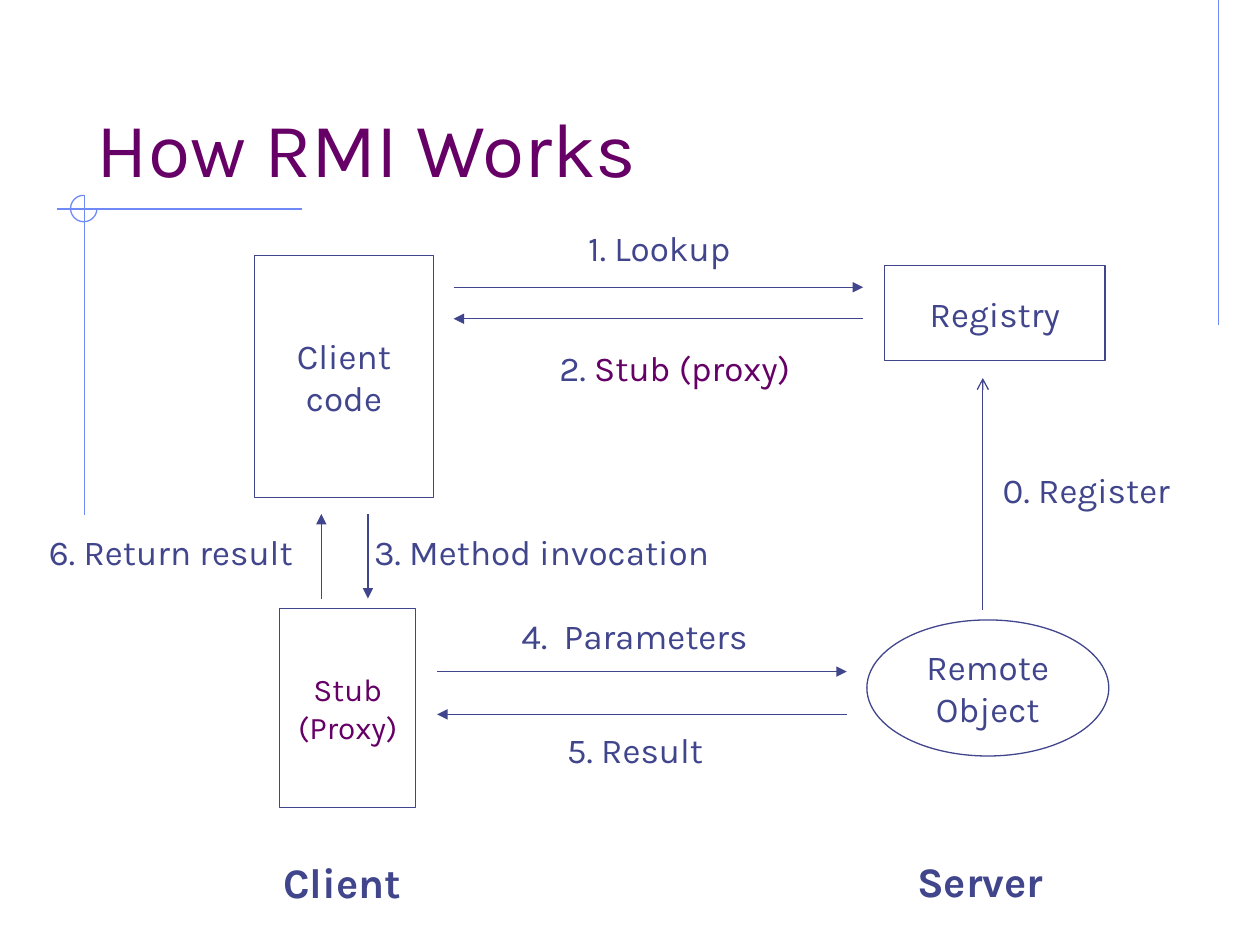
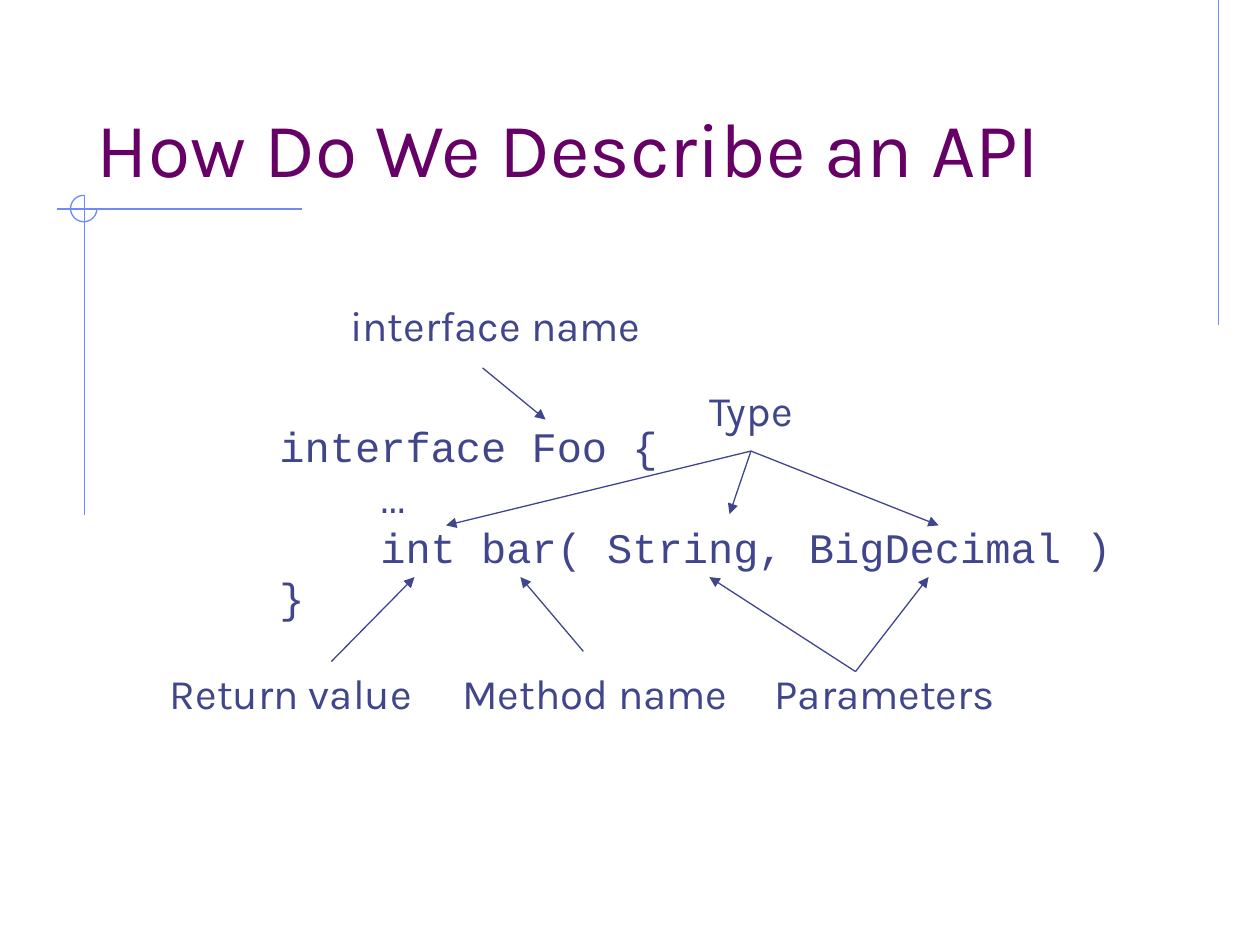
from lxml import etree
from pptx import Presentation
from pptx import util as u
from pptx.dml.color import RGBColor
from pptx.enum import shapes, text
from pptx.oxml.ns import qn

PX = u.Inches(1) // 100
INK, PLUM, SKY = "40458C", "660066", "6F89F7"
BODY, MONO = "Karla", "Courier New"
RECT, OVAL, ARC = (shapes.MSO_SHAPE.RECTANGLE, shapes.MSO_SHAPE.OVAL,
                   shapes.MSO_SHAPE.ARC)


def px(*values):
    """Turn px lengths into EMU."""
    return [u.Emu(v * PX) for v in values]


def rgb(value):
    """Turn a hex string into a colour."""
    return RGBColor.from_string(value)


def write(tf, lines, size=20, color=INK, font=BODY, bold=False,
          align=text.PP_ALIGN.LEFT, anchor=text.MSO_ANCHOR.TOP, wrap=False):
    """Fill a text frame; a line is a string or a list of (text, colour)."""
    tf.word_wrap = wrap
    tf.vertical_anchor = anchor
    for i, line in enumerate(lines):
        p = tf.paragraphs[0] if i == 0 else tf.add_paragraph()
        p.alignment = align
        runs = [(line, color)] if isinstance(line, str) else line
        for words, run_color in runs:
            r = p.add_run()
            r.text = words
            r.font.size = u.Pt(size)
            r.font.name = font
            r.font.bold = bold
            r.font.color.rgb = rgb(run_color)


def label(s, box, *lines, **style):
    """Add a text box that fits its unwrapped text."""
    tf = s.shapes.add_textbox(*px(*box)).text_frame
    write(tf, lines, **style)
    tf.auto_size = text.MSO_AUTO_SIZE.SHAPE_TO_FIT_TEXT


def outline(s, kind, box, color=INK):
    """Add an unfilled shape with a thin line."""
    sp = s.shapes.add_shape(kind, *px(*box))
    sp.shadow.inherit = False
    sp.fill.background()
    sp.line.color.rgb = rgb(color)
    sp.line.width = u.Pt(0.75)
    return sp


def node(s, kind, box, *lines, **style):
    """Add an outlined shape with centred text."""
    sp = outline(s, kind, box)
    write(sp.text_frame, lines, align=text.PP_ALIGN.CENTER,
          anchor=text.MSO_ANCHOR.MIDDLE, **style)


def line(s, x1, y1, x2, y2, color=INK, tip="triangle"):
    """Add a straight line, with an arrowhead at its end if tip is set."""
    c = s.shapes.add_connector(shapes.MSO_CONNECTOR.STRAIGHT,
                               *px(x1, y1, x2, y2))
    c.line.color.rgb = rgb(color)
    c.line.width = u.Pt(0.75)
    if tip:
        ln = c.line._get_or_add_ln()
        etree.SubElement(ln, qn("a:tailEnd"), type=tip)
    etree.SubElement(c._element.spPr, qn("a:effectLst"))


def titled_slide(prs, title):
    """Add a slide with the shared rules, ring and title."""
    s = prs.slides.add_slide(prs.slide_layouts[6])
    for ends in ((967, 0, 967, 258), (240, 166, 45, 166), (67, 155, 67, 409)):
        line(s, *ends, color=SKY, tip=None)
    ring = outline(s, ARC, (56, 155, 21, 21), SKY)
    ring.adjustments[0], ring.adjustments[1] = 0, 162
    tf = s.shapes.add_textbox(*px(67, 33, 850, 125)).text_frame
    write(tf, [title], size=44, color=PLUM, wrap=True,
          anchor=text.MSO_ANCHOR.BOTTOM)
    return s


def client_side(s, x, y):
    """Draw the client code, its stub and the calls between them."""
    node(s, RECT, (x, y, 142, 192), "Client", "code")
    node(s, RECT, (x + 20, y + 280, 108, 158), "Stub", "(Proxy)",
         size=18, color=PLUM)
    line(s, x + 53, y + 272, x + 53, y + 205)
    line(s, x + 90, y + 205, x + 90, y + 272)
    label(s, (x - 173, y + 213, 222, 44), "6. Return result")
    label(s, (x + 85, y + 213, 295, 44), "3. Method invocation")
    label(s, (x + 13, y + 472, 117, 50), "Client", size=24, bold=True)


def server_side(s, x, y):
    """Draw the registry above the remote object that registers in it."""
    node(s, RECT, (x + 14, y, 175, 75), "Registry")
    node(s, OVAL, (x, y + 281, 192, 108), "Remote", "Object")
    line(s, x + 92, y + 273, x + 92, y + 89, tip="arrow")
    label(s, (x + 98, y + 156, 158, 44), "0. Register")
    label(s, (x + 30, y + 463, 127, 50), "Server", size=24, bold=True)


def exchange(s, box, request, reply):
    """Draw a request arrow over its reply; labels are (dx, dy, w, line)."""
    x, y, w, h = box
    line(s, x, y, x + w, y)
    line(s, x + w, y + h, x, y + h)
    for dx, dy, width, words in (request, reply):
        label(s, (x + dx, y + dy, width, 44), words)


def interface_code(s, x, y):
    """Show the code and point at its parts from the names around it."""
    label(s, (x, y, 680, 170), "interface Foo {", "    …",
          "    int bar( String, BigDecimal )", "}", size=24, font=MONO)
    callouts = (
        ("interface name", (56, -96, 256), (171, -37), [(221, 4)]),
        ("Type", (341, -29, 95), (384, 29), [(142, 88), (367, 79), (533, 88)]),
        ("Return value", (-87, 196, 219), (51, 196), [(117, 129)]),
        ("Method name", (145, 196, 240), (251, 188), [(201, 129)]),
        ("Parameters", (393, 196, 202), (467, 204), [(351, 129), (525, 129)]),
    )
    for name, (dx, dy, w), (x1, y1), targets in callouts:
        label(s, (x + dx, y + dy, w, 50), name, size=24)
        for x2, y2 in targets:
            line(s, x + x1, y + y1, x + x2, y + y2)


def main():
    """Build and save both slides."""
    prs = Presentation()
    prs.slide_width, prs.slide_height = px(1000, 750)

    s = titled_slide(prs, "How RMI Works")
    client_side(s, 202, 203)
    server_side(s, 688, 211)
    exchange(s, (360, 228, 325, 25), (97, -53, 148, "1. Lookup"),
             (74, 42, 208, [("2. ", INK), ("Stub (proxy)", PLUM)]))
    exchange(s, (347, 533, 325, 34), (57, -50, 209, "4.  Parameters"),
             (93, 40, 131, "5. Result"))

    s = titled_slide(prs, "How Do We Describe an API")
    interface_code(s, 212, 329)
    prs.save("out.pptx")


if __name__ == "__main__":
    main()
